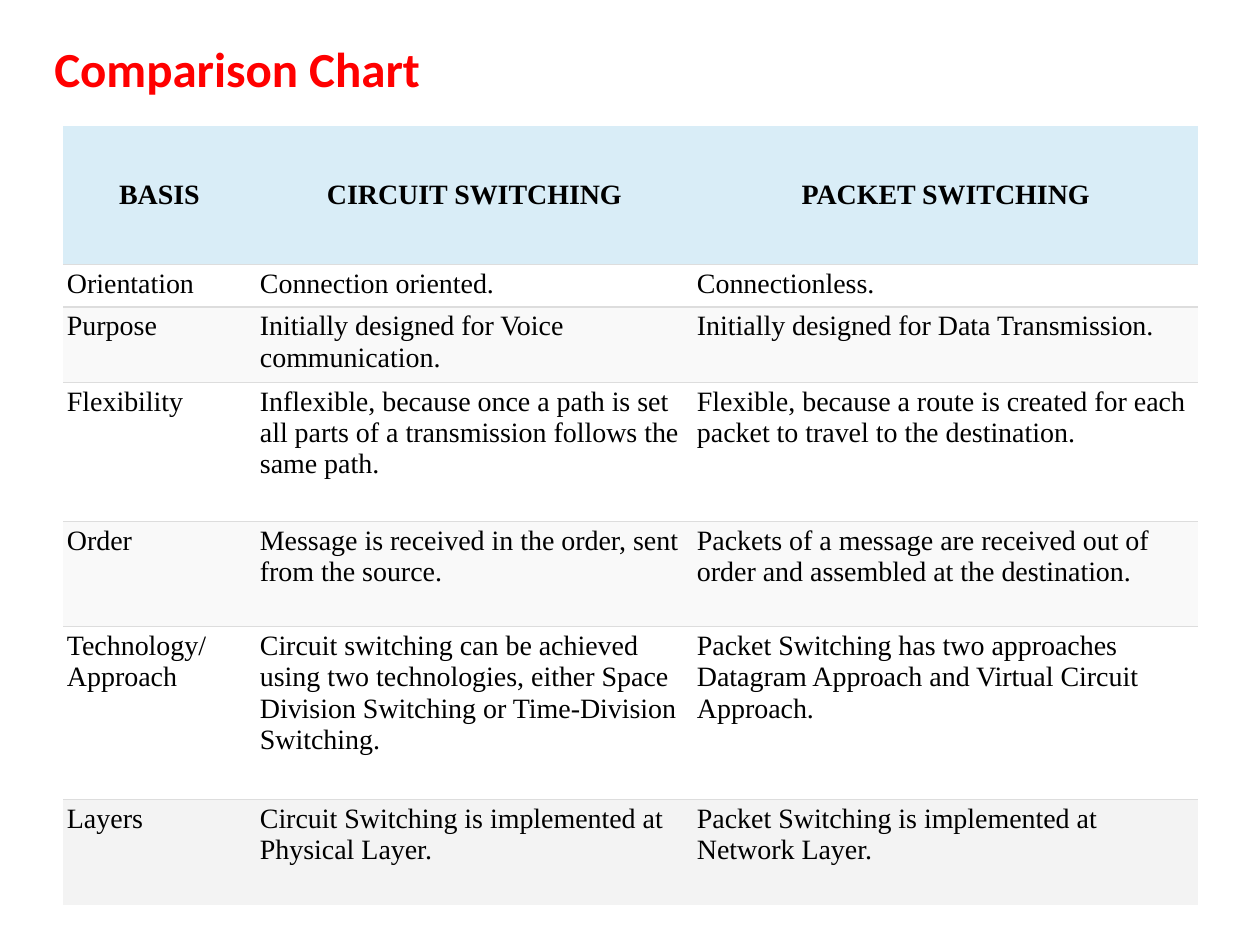
from lxml.etree import SubElement
from pptx import Presentation
from pptx.dml.color import RGBColor
from pptx.enum.text import MSO_ANCHOR as Anchor, PP_ALIGN as Align
from pptx.oxml.ns import qn
from pptx.util import Cm, Pt

COLUMN_WIDTHS = (3.89, 8.81, 10.19)
ROW_HEIGHTS = (2.8, 0.85, 1.52, 2.8, 2.13, 3.48, 2.13)
HEADER_FILL, LAST_FILL = "D9EDF7", "F3F3F3"
BAND_FILLS = ("F9F9F9", "FFFFFF")
BORDER_COLOR = "DDDDDD"
TITLE_FONT = {"name": "Calibri", "size": Pt(28), "bold": True}
CELL_FONT = {"name": "Times New Roman", "size": Pt(16), "bold": False}
CELL_MARGINS = {f"margin_{side}": Cm(0.08) for side in ("left", "right", "top", "bottom")}
ROWS = (
    ("BASIS", "CIRCUIT SWITCHING", "PACKET SWITCHING"),
    ("Orientation", "Connection oriented.", "Connectionless."),
    ("Purpose", "Initially designed for Voice communication.",
     "Initially designed for Data Transmission."),
    ("Flexibility",
     "Inflexible, because once a path is set all parts of a transmission follows the same path.",
     "Flexible, because a route is created for each packet to travel to the destination."),
    ("Order", "Message is received in the order, sent from the source.",
     "Packets of a message are received out of order and assembled at the destination."),
    ("Technology/Approach",
     "Circuit switching can be achieved using two technologies, either Space Division "
     "Switching or Time-Division Switching.",
     "Packet Switching has two approaches Datagram Approach and Virtual Circuit Approach."),
    ("Layers", "Circuit Switching is implemented at Physical Layer.",
     "Packet Switching is implemented at Network Layer."),
)


def color(value):
    """Turn a hex string into a colour."""
    return RGBColor.from_string(value)


def apply_format(target, values):
    """Set every attribute in values on the target."""
    for name, value in values.items():
        setattr(target, name, value)


def format_text(para, font_values, text_color, align):
    """Give a paragraph its alignment and font."""
    para.alignment = align
    apply_format(para.font, font_values)
    para.font.color.rgb = color(text_color)


def set_borders(cell, visible):
    """Draw the visible sides of a cell and clear the others."""
    properties = cell._tc.get_or_add_tcPr()
    for side in "LRTB":
        line = SubElement(properties, qn(f"a:ln{side}"), w=str(Pt(0.75)))
        if side in visible:
            fill = SubElement(line, qn("a:solidFill"))
            SubElement(fill, qn("a:srgbClr"), val=BORDER_COLOR)
        else:
            SubElement(line, qn("a:noFill"))


def add_title(page, left, top, width, height):
    """Place the slide title in its box."""
    box = page.shapes.title
    apply_format(box, {"left": left, "top": top, "width": width, "height": height})
    frame = box.text_frame
    frame.text = "Comparison Chart"
    apply_format(frame, {"word_wrap": False, "vertical_anchor": Anchor.TOP})
    format_text(frame.paragraphs[0], TITLE_FONT, "FF0000", Align.LEFT)


def fill_cell(cell, text, row_index):
    """Write and format one table cell according to its row."""
    is_header, is_last = row_index == 0, row_index == len(ROWS) - 1
    set_borders(cell, "B" if is_header else "T" if is_last else "TB")
    cell.fill.solid()
    fill = HEADER_FILL if is_header else LAST_FILL if is_last else BAND_FILLS[row_index % 2]
    cell.fill.fore_color.rgb = color(fill)
    apply_format(cell, CELL_MARGINS)
    cell.vertical_anchor = Anchor.MIDDLE if is_header else Anchor.TOP
    cell.text = text
    format_text(cell.text_frame.paragraphs[0], CELL_FONT | {"bold": is_header},
                "000000", Align.CENTER if is_header else Align.LEFT)


def add_comparison(page, left, top):
    """Place the comparison table with its top left corner at the given point."""
    table = page.shapes.add_table(len(ROWS), len(COLUMN_WIDTHS), left, top,
                                  Cm(sum(COLUMN_WIDTHS)), Cm(sum(ROW_HEIGHTS))).table
    apply_format(table, {"first_row": False, "horz_banding": False})
    for column, width in zip(table.columns, COLUMN_WIDTHS):
        column.width = Cm(width)
    for row_index, (row, height, texts) in enumerate(zip(table.rows, ROW_HEIGHTS, ROWS)):
        row.height = Cm(height)
        for cell, text in zip(row.cells, texts):
            fill_cell(cell, text, row_index)


def main():
    """Build the deck and save it."""
    deck = Presentation()
    apply_format(deck, {"slide_width": Cm(25.4), "slide_height": Cm(19.05)})
    page = deck.slides.add_slide(deck.slide_layouts[5])
    add_title(page, Cm(0.84), Cm(0.64), Cm(7.98), Cm(1.45))
    add_comparison(page, Cm(1.27), Cm(2.54))
    deck.save("out.pptx")


if __name__ == "__main__":
    main()
